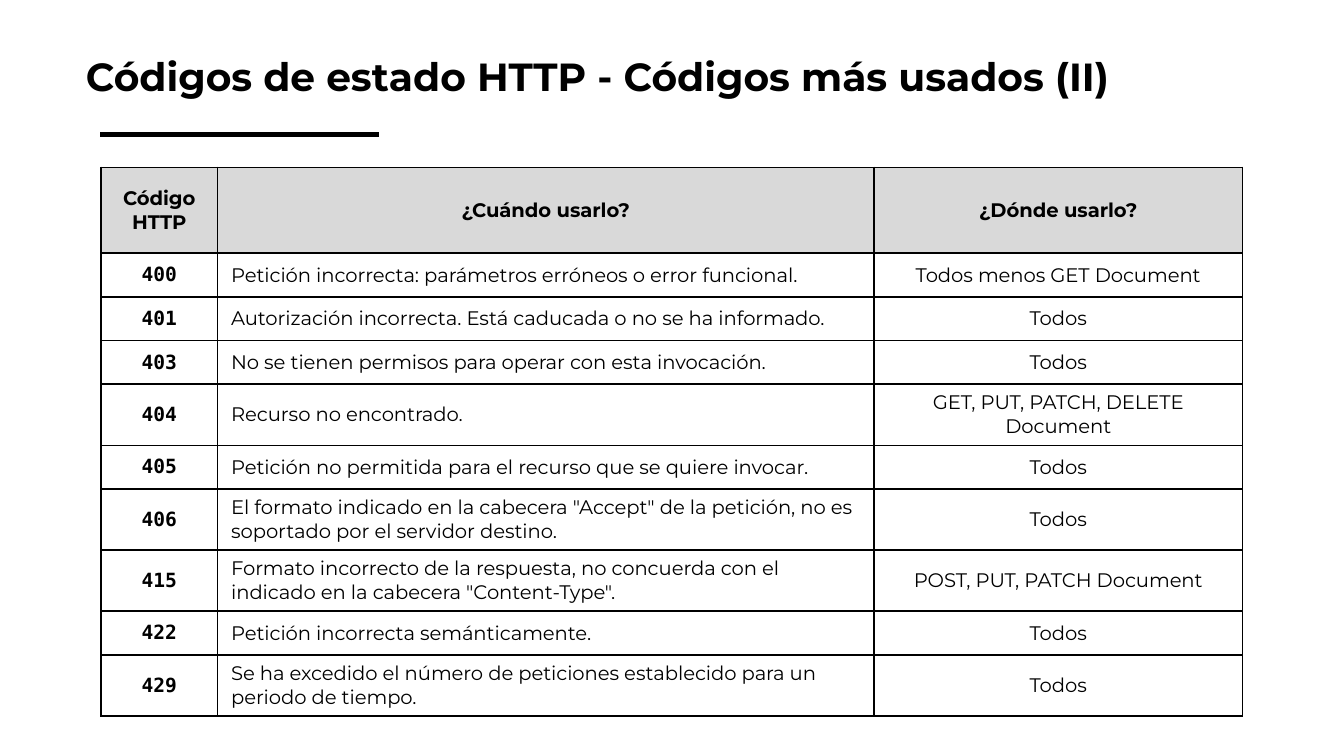
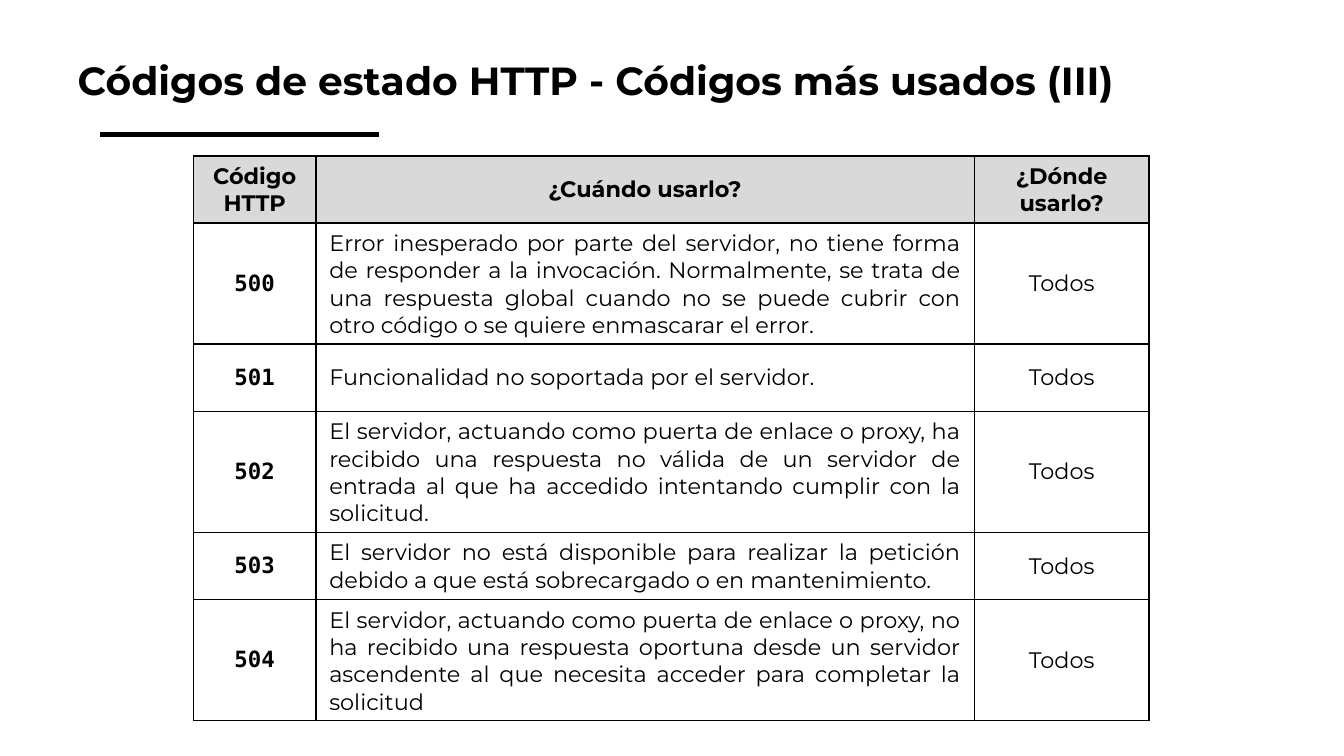
"""Build two slides with tables of HTTP status codes."""

from dataclasses import dataclass

from lxml.etree import SubElement
from pptx import Presentation
from pptx.dml.color import RGBColor
from pptx.enum.shapes import MSO_CONNECTOR
from pptx.enum.text import MSO_ANCHOR, MSO_AUTO_SIZE, PP_ALIGN
from pptx.oxml.ns import qn
from pptx.presentation import Presentation as Deck
from pptx.slide import Slide
from pptx.table import _Cell
from pptx.text.text import _Paragraph
from pptx.util import Emu, Pt

EMU_PER_PX = 4572


@dataclass(frozen=True)
class Theme:
    """Colours, fonts and sizes shared by the slides."""

    ink: str = "000000"
    header: str = "D9D9D9"
    font: str = "Montserrat"
    mono: str = "DejaVu Sans Mono"
    title_pt: float = 21
    rule_pt: float = 3
    border_pt: float = 1


@dataclass(frozen=True)
class Box:
    """Left, top, width and height in px."""

    left: int
    top: int
    width: int
    height: int


@dataclass(frozen=True)
class CodeRow:
    """One status code, when to use it and where."""

    code: str
    when: str
    where: str = "Todos"


@dataclass(frozen=True)
class CodeSlide:
    """Everything that differs between the slides."""

    title: str
    title_box: Box
    left: int
    top: int
    cols: tuple[int, ...]
    heights: tuple[int, ...]
    size: float
    when_align: PP_ALIGN
    rows: tuple[CodeRow, ...]


THEME = Theme()
HEADERS = ("Código HTTP", "¿Cuándo usarlo?", "¿Dónde usarlo?")
SLIDES = (
    CodeSlide(
        "Códigos de estado HTTP - Códigos más usados (II)",
        Box(108, 46, 1582, 122),
        150, 249, (174, 977, 548),
        (128, 65, 65, 65, 91, 65, 91, 91, 65, 91),
        10.5, PP_ALIGN.LEFT,
        (
            CodeRow("400", "Petición incorrecta: parámetros erróneos o error funcional.",
                    "Todos menos GET Document"),
            CodeRow("401", "Autorización incorrecta. Está caducada o no se ha informado."),
            CodeRow("403", "No se tienen permisos para operar con esta invocación."),
            CodeRow("404", "Recurso no encontrado.", "GET, PUT, PATCH, DELETE Document"),
            CodeRow("405", "Petición no permitida para el recurso que se quiere invocar."),
            CodeRow("406", 'El formato indicado en la cabecera "Accept" de la petición, '
                           "no es soportado por el servidor destino."),
            CodeRow("415", "Formato incorrecto de la respuesta, no concuerda con el "
                           'indicado en la cabecera "Content-Type".',
                    "POST, PUT, PATCH Document"),
            CodeRow("422", "Petición incorrecta semánticamente."),
            CodeRow("429", "Se ha excedido el número de peticiones establecido para un "
                           "periodo de tiempo."),
        ),
    ),
    CodeSlide(
        "Códigos de estado HTTP - Códigos más usados (III)",
        Box(96, 52, 1588, 122),
        288, 232, (182, 980, 260),
        (100, 180, 100, 180, 100, 180),
        12, PP_ALIGN.JUSTIFY,
        (
            CodeRow("500", "Error inesperado por parte del servidor, no tiene forma de "
                           "responder a la invocación. Normalmente, se trata de una "
                           "respuesta global cuando no se puede cubrir con otro código "
                           "o se quiere enmascarar el error."),
            CodeRow("501", "Funcionalidad no soportada por el servidor."),
            CodeRow("502", "El servidor, actuando como puerta de enlace o proxy, ha "
                           "recibido una respuesta no válida de un servidor de entrada "
                           "al que ha accedido intentando cumplir con la solicitud."),
            CodeRow("503", "El servidor no está disponible para realizar la petición "
                           "debido a que está sobrecargado o en mantenimiento."),
            CodeRow("504", "El servidor, actuando como puerta de enlace o proxy, no ha "
                           "recibido una respuesta oportuna desde un servidor ascendente "
                           "al que necesita acceder para completar la solicitud"),
        ),
    ),
)


def px(n: int) -> Emu:
    """Turn px into EMU."""
    return Emu(n * EMU_PER_PX)


def style(p: _Paragraph, size: float, bold: bool, name: str = THEME.font) -> None:
    """Set the font of a paragraph."""
    p.font.name = name
    p.font.size = Pt(size)
    p.font.bold = bold
    p.font.color.rgb = RGBColor.from_string(THEME.ink)


def add_rule(s: Slide) -> None:
    """Draw the short rule under the title."""
    sp = s.shapes.add_connector(MSO_CONNECTOR.STRAIGHT, px(149), px(200), px(564), px(200))
    sp.line.color.rgb = RGBColor.from_string(THEME.ink)
    sp.line.width = Pt(THEME.rule_pt)
    SubElement(sp._element.spPr, qn("a:effectLst"))


def add_title(s: Slide, text: str, box: Box) -> None:
    """Write the slide title."""
    sp = s.shapes.add_textbox(px(box.left), px(box.top), px(box.width), px(box.height))
    tf = sp.text_frame
    tf.word_wrap = True
    tf.auto_size = MSO_AUTO_SIZE.SHAPE_TO_FIT_TEXT
    tf.vertical_anchor = MSO_ANCHOR.MIDDLE
    tf.margin_left = tf.margin_top = tf.margin_right = tf.margin_bottom = px(20)
    p = tf.paragraphs[0]
    p.text = text
    p.line_spacing = 1.15
    style(p, THEME.title_pt, True)


def add_borders(cell: _Cell) -> None:
    """Draw the four borders of a cell."""
    tc_pr = cell._tc.get_or_add_tcPr()
    for side in ("lnL", "lnR", "lnT", "lnB"):
        ln = SubElement(tc_pr, qn(f"a:{side}"), w=str(Pt(THEME.border_pt)))
        fill = SubElement(ln, qn("a:solidFill"))
        SubElement(fill, qn("a:srgbClr"), val=THEME.ink)


def fill_cell(cell: _Cell, text: str, size: float, align: PP_ALIGN, bold: bool,
              font: str = THEME.font, fill: str | None = None) -> None:
    """Write and style one table cell."""
    add_borders(cell)
    cell.vertical_anchor = MSO_ANCHOR.MIDDLE
    if fill:
        cell.fill.solid()
        cell.fill.fore_color.rgb = RGBColor.from_string(fill)
    else:
        cell.fill.background()
    p = cell.text_frame.paragraphs[0]
    p.text = text
    p.alignment = align
    style(p, size, bold, font)


def add_codes(s: Slide, spec: CodeSlide) -> None:
    """Add the table of status codes."""
    table = s.shapes.add_table(
        len(spec.heights), len(spec.cols), px(spec.left), px(spec.top),
        px(sum(spec.cols)), px(sum(spec.heights)),
    ).table
    table.first_row = table.horz_banding = False
    for col, width in zip(table.columns, spec.cols):
        col.width = px(width)
    for row, height in zip(table.rows, spec.heights):
        row.height = px(height)
    for i, text in enumerate(HEADERS):
        fill_cell(table.cell(0, i), text, spec.size, PP_ALIGN.CENTER, True, fill=THEME.header)
    for i, row in enumerate(spec.rows, 1):
        fill_cell(table.cell(i, 0), row.code, spec.size, PP_ALIGN.CENTER, True, THEME.mono)
        fill_cell(table.cell(i, 1), row.when, spec.size, spec.when_align, False)
        fill_cell(table.cell(i, 2), row.where, spec.size, PP_ALIGN.CENTER, False)


def add_slide(prs: Deck, spec: CodeSlide) -> None:
    """Build one slide."""
    s = prs.slides.add_slide(prs.slide_layouts[6])
    add_rule(s)
    add_title(s, spec.title, spec.title_box)
    add_codes(s, spec)


def main() -> None:
    """Build and save the presentation."""
    prs = Presentation()
    prs.slide_width, prs.slide_height = px(2000), px(1125)
    for spec in SLIDES:
        add_slide(prs, spec)
    prs.save("out.pptx")


if __name__ == "__main__":
    main()
